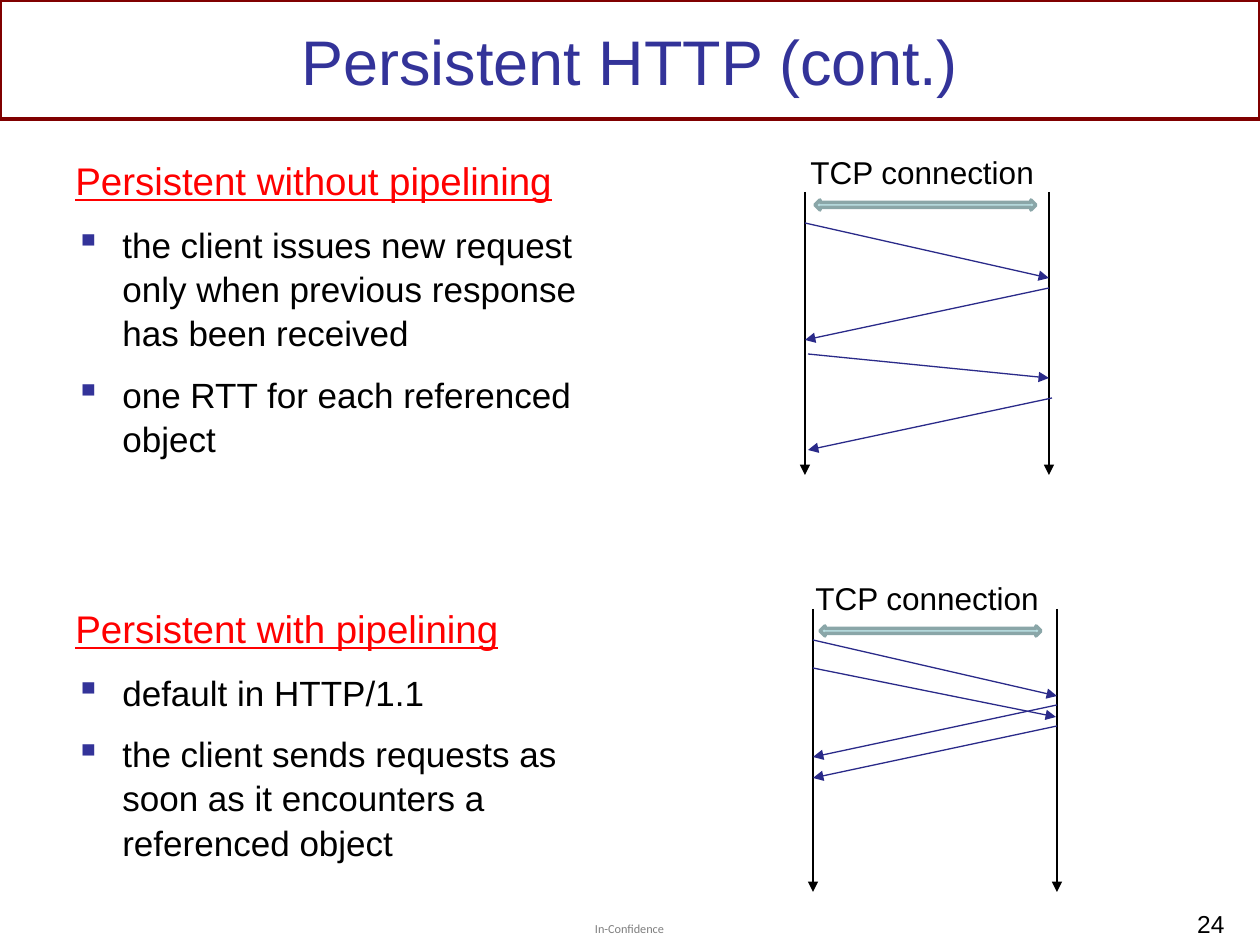
from lxml import etree
from pptx import Presentation, util as u
from pptx.dml.color import RGBColor
from pptx.enum import shapes, text
from pptx.oxml.ns import qn

PX = 914400 / 126
BLACK = RGBColor(0, 0, 0)
GREY = RGBColor(0x7F, 0x7F, 0x7F)
RED = RGBColor(0xFF, 0, 0)
MAROON = RGBColor(0x80, 0, 0)
INDIGO = RGBColor(0x33, 0x33, 0x99)
NAVY = RGBColor(0x2A, 0x2A, 0x89)
PALE_TEAL = RGBColor(0xBB, 0xE0, 0xE3)
TEAL = RGBColor(0x8A, 0xA6, 0xA8)


def px(n):
    return u.Emu(round(n * PX))


def write(frame, words, size=20, color=BLACK, font="Arial", align=text.PP_ALIGN.LEFT,
          underline=False, bullet=None, first=True, spacing=None):
    paragraph = frame.paragraphs[0] if first else frame.add_paragraph()
    paragraph.alignment = align
    if spacing:
        paragraph.line_spacing = spacing
        paragraph.space_after = u.Pt(6)
        if not first:
            paragraph.space_before = u.Pt(size * 0.2)
    if bullet:
        props = paragraph._p.get_or_add_pPr()
        props.set("marL", str(px(47)))
        props.set("indent", str(-px(47)))
        tint = etree.SubElement(props, qn("a:buClr"))
        etree.SubElement(tint, qn("a:srgbClr"), val=str(INDIGO))
        etree.SubElement(props, qn("a:buChar"), char=bullet)
    run = paragraph.add_run()
    run.text = words
    run.font.size = u.Pt(size)
    run.font.name = font
    run.font.color.rgb = color
    run.font.underline = underline


def arrow(x1, y1, x2, y2, color):
    line = slide.shapes.add_connector(shapes.MSO_CONNECTOR.STRAIGHT, px(x1), px(y1), px(x2), px(y2))
    line.line.color.rgb = color
    line.line.width = u.Pt(0.75)
    etree.SubElement(line.line._get_or_add_ln(), qn("a:tailEnd"), type="triangle")
    etree.SubElement(line._element.spPr, qn("a:effectLst"))


deck = Presentation()
deck.slide_width, deck.slide_height = px(1260), px(945)
slide = deck.slides.add_slide(deck.slide_layouts[6])

banner = slide.shapes.add_shape(shapes.MSO_SHAPE.RECTANGLE, 0, 0, px(1260), px(119))
banner.shadow.inherit = False
banner.fill.background()
banner.line.color.rgb = MAROON
banner.line.width = u.Pt(2)

title = slide.shapes.add_textbox(px(63), px(10), px(1134), px(100)).text_frame
title.word_wrap = True
title.vertical_anchor = text.MSO_ANCHOR.MIDDLE
write(title, "Persistent HTTP (cont.)", size=36, color=INDIGO, align=text.PP_ALIGN.CENTER)

sections = [
    (149, "Persistent without pipelining",
     ["the client issues new request only when previous response has been received",
      "one RTT for each referenced object"]),
    (597, "Persistent with pipelining",
     ["default in HTTP/1.1",
      "the client sends requests as soon as it encounters a referenced object"]),
]
for top, heading, points in sections:
    body = slide.shapes.add_textbox(px(63), px(top), px(557), px(300)).text_frame
    body.word_wrap = True
    write(body, heading, size=22, color=RED, underline=True, spacing=1.05)
    for point in points:
        write(body, point, bullet="▪", first=False, spacing=1.05)

timelines = [
    (805, 192, (815, 200), (798, 147),
     [(0, 223, 244, 278), (244, 288, 0, 340), (247, 398, 3, 450), (3, 354, 244, 378)]),
    (813, 609, (820, 626), (803, 573),
     [(0, 640, 244, 696), (244, 705, 0, 757), (244, 726, 0, 778), (0, 668, 243, 717)]),
]
for client, top, link_at, label_at, messages in timelines:
    for lifeline in (client, client + 244):
        arrow(lifeline, top, lifeline, top + 283, BLACK)
    for start, sent, end, received in messages:
        arrow(client + start, sent, client + end, received, NAVY)
    link = slide.shapes.add_shape(shapes.MSO_SHAPE.LEFT_RIGHT_ARROW,
                                  px(link_at[0]), px(link_at[1]), px(221), px(10))
    link.shadow.inherit = False
    link.fill.solid()
    link.fill.fore_color.rgb = PALE_TEAL
    link.line.color.rgb = TEAL
    link.line.width = u.Pt(2)
    label = slide.shapes.add_textbox(px(label_at[0]), px(label_at[1]), px(251), px(50)).text_frame
    label.word_wrap = False
    write(label, "TCP connection", size=18)

footer = slide.shapes.add_textbox(px(595), px(921), px(72), px(15)).text_frame
footer.margin_left = footer.margin_right = footer.margin_top = footer.margin_bottom = 0
footer.word_wrap = False
write(footer, "In-Confidence", size=7, color=GREY, font="Calibri")

page = slide.shapes.add_textbox(px(960), px(903), px(277), px(38)).text_frame
page.word_wrap = True
write(page, "24", size=14, align=text.PP_ALIGN.RIGHT)

deck.save("out.pptx")
